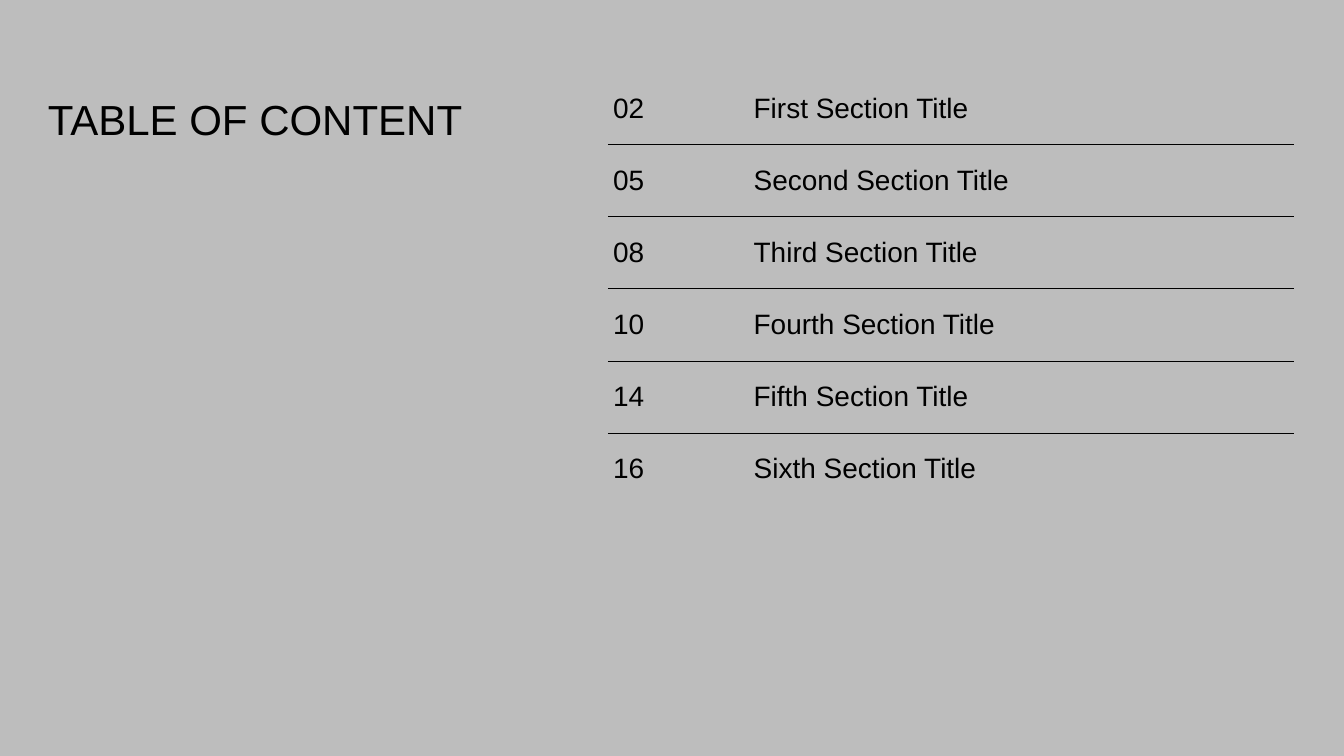
"""Build a table of contents slide with ruled section rows."""
import pptx
import pptx.dml.color
import pptx.enum.text
import pptx.oxml
import pptx.oxml.ns
import pptx.util

Pt = pptx.util.Pt

TITLE = "TABLE OF CONTENT"
SECTIONS = [
    ("02", "First Section Title"),
    ("05", "Second Section Title"),
    ("08", "Third Section Title"),
    ("10", "Fourth Section Title"),
    ("14", "Fifth Section Title"),
    ("16", "Sixth Section Title"),
]
FONT, INK, BACKGROUND = "Arial", "000000", "BDBDBD"
TITLE_SIZE, ENTRY_SIZE, RULE_WIDTH = 60, 40, 1
SLIDE = (1919.52, 1080)
TITLE_BOX = (68.4, 133.2, 648, 411.12)
TABLE_LEFT, TABLE_TOP = 868.32, 103.68
COLUMNS, ROW_HEIGHT = (200.88, 779.04), 102.96
NO_GRID_STYLE = "{2D5ABB26-0587-4C30-8999-92F81FD0307C}"


def rgb(color):
    """Turn a hex string into a colour."""
    return pptx.dml.color.RGBColor.from_string(color)


def write(tf, text, size):
    """Put one styled paragraph in a text frame."""
    p = tf.paragraphs[0]
    p.text = text
    p.font.name, p.font.size = FONT, Pt(size)
    p.font.color.rgb = rgb(INK)


def add_rules(cell, sides):
    """Draw border lines on the given sides of a cell, top before bottom."""
    for i, side in enumerate(sides):
        line = pptx.oxml.parse_xml(
            f'<a:ln{side} {pptx.oxml.ns.nsdecls("a")} w="{Pt(RULE_WIDTH)}">'
            f'<a:solidFill><a:srgbClr val="{INK}"/></a:solidFill></a:ln{side}>'
        )
        cell._tc.get_or_add_tcPr().insert(i, line)


def add_title(s):
    """Add the slide title."""
    tf = s.shapes.add_textbox(*map(Pt, TITLE_BOX)).text_frame
    tf.word_wrap = True
    tf.margin_left = tf.margin_top = tf.margin_right = tf.margin_bottom = 0
    write(tf, TITLE, TITLE_SIZE)


def add_contents(s):
    """Add the section table with a rule between rows."""
    last = len(SECTIONS) - 1
    box = (TABLE_LEFT, TABLE_TOP, sum(COLUMNS), ROW_HEIGHT * len(SECTIONS))
    table = s.shapes.add_table(len(SECTIONS), len(COLUMNS), *map(Pt, box)).table
    table.first_row = table.horz_banding = False
    table._tbl.tblPr.find(pptx.oxml.ns.qn("a:tableStyleId")).text = NO_GRID_STYLE
    for column, width in zip(table.columns, COLUMNS):
        column.width = Pt(width)
    for i, section in enumerate(SECTIONS):
        table.rows[i].height = Pt(ROW_HEIGHT)
        sides = ("T" if i > 0 else "") + ("B" if i < last else "")
        for cell, text in zip(table.rows[i].cells, section):
            cell.vertical_anchor = pptx.enum.text.MSO_ANCHOR.MIDDLE
            cell.fill.background()
            add_rules(cell, sides)
            write(cell.text_frame, text, ENTRY_SIZE)


def main():
    """Create and save the presentation."""
    prs = pptx.Presentation()
    prs.slide_width, prs.slide_height = map(Pt, SLIDE)
    s = prs.slides.add_slide(prs.slide_layouts[6])
    s.background.fill.solid()
    s.background.fill.fore_color.rgb = rgb(BACKGROUND)
    add_title(s)
    add_contents(s)
    prs.save("out.pptx")


if __name__ == "__main__":
    main()
